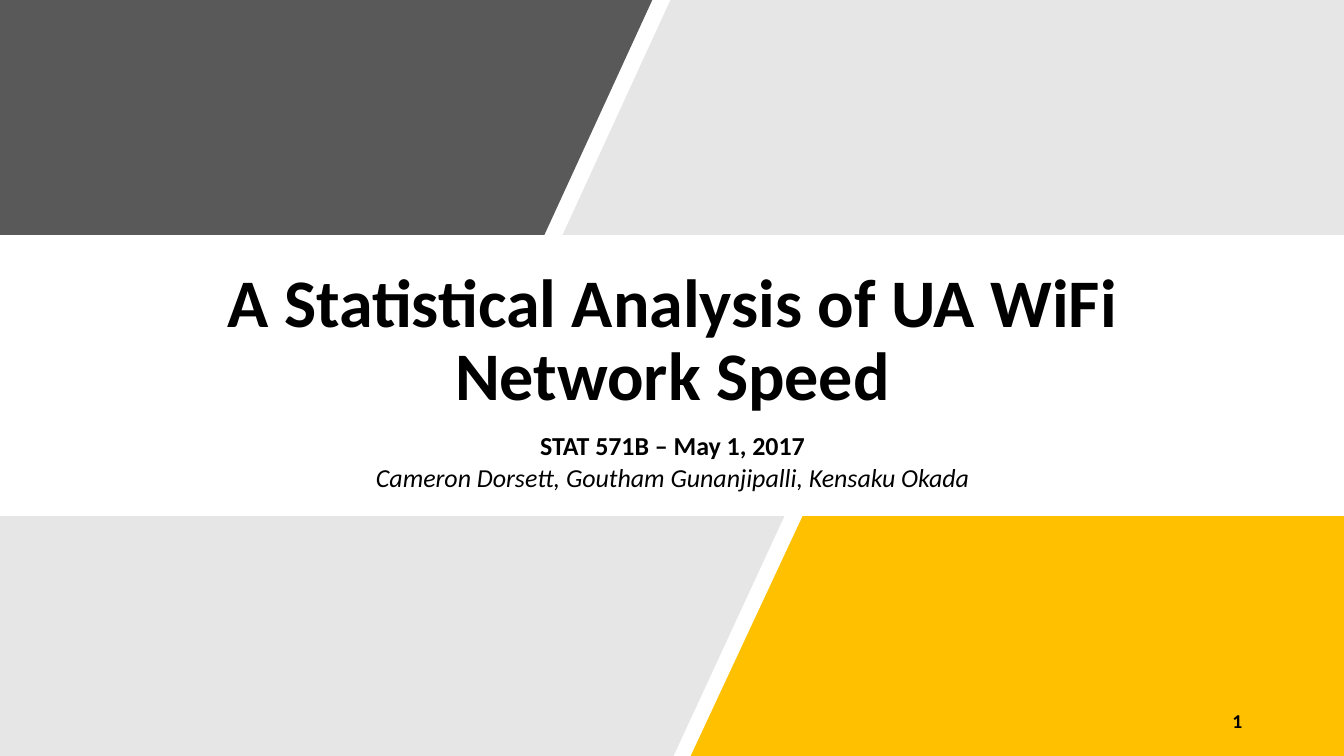
from dataclasses import dataclass

from pptx import Presentation
from pptx.dml.color import RGBColor
from pptx.enum.text import MSO_ANCHOR, PP_ALIGN
from pptx.slide import Slide
from pptx.util import Inches, Pt

BLACK = RGBColor(0x00, 0x00, 0x00)
WHITE = RGBColor(0xFF, 0xFF, 0xFF)
DARK_GRAY = RGBColor(0x59, 0x59, 0x59)
LIGHT_GRAY = RGBColor(0xE7, 0xE6, 0xE6)
GOLD = RGBColor(0xFF, 0xC0, 0x00)

CENTER, RIGHT = PP_ALIGN.CENTER, PP_ALIGN.RIGHT
TOP, MIDDLE, BOTTOM = MSO_ANCHOR.TOP, MSO_ANCHOR.MIDDLE, MSO_ANCHOR.BOTTOM

FONT = "Calibri"
SLIDE_WIDTH, SLIDE_HEIGHT = 13.33, 7.5
UPPER_BAND = (0, 2.33)
LOWER_BAND = (5.12, SLIDE_HEIGHT)


@dataclass
class Panel:
    """A four-sided panel given by its left and right x on each edge."""
    band: tuple[float, float]
    top_edge: tuple[float, float]
    bottom_edge: tuple[float, float]
    color: RGBColor


@dataclass
class Line:
    text: str
    bold: bool = True
    italic: bool = False


@dataclass
class TextBlock:
    box: tuple[float, float, float, float]
    lines: list[Line]
    size: float
    alignment: PP_ALIGN
    anchor: MSO_ANCHOR
    line_spacing: float = 1.0
    space_between: float = 0


PANELS = [
    Panel(UPPER_BAND, (0, 6.47), (0, 5.4), DARK_GRAY),
    Panel(LOWER_BAND, (7.83, 11.67), (6.73, 11.67), WHITE),
    Panel(LOWER_BAND, (7.96, SLIDE_WIDTH), (6.85, SLIDE_WIDTH), GOLD),
    Panel(UPPER_BAND, (6.65, SLIDE_WIDTH), (5.58, SLIDE_WIDTH), LIGHT_GRAY),
    Panel(LOWER_BAND, (0, 7.78), (0, 6.68), LIGHT_GRAY),
]

TEXT_BLOCKS = [
    TextBlock((1.67, 2.46, 10, 1.71),
              [Line("A Statistical Analysis of UA WiFi Network Speed")],
              48.6, CENTER, BOTTOM, line_spacing=0.9),
    TextBlock((1.67, 4.32, 10, 0.63),
              [Line("STAT 571B – May 1, 2017"),
               Line("Cameron Dorsett, Goutham Gunanjipalli, Kensaku Okada",
                    bold=False, italic=True)],
              18.5, CENTER, TOP, line_spacing=0.6, space_between=10),
    TextBlock((9.42, 6.95, 3, 0.4), [Line("1")], 14, RIGHT, MIDDLE),
]


def add_panel(slide: Slide, panel: Panel) -> None:
    top, bottom = panel.band
    top_left, top_right = panel.top_edge
    bottom_left, bottom_right = panel.bottom_edge
    builder = slide.shapes.build_freeform(
        Inches(top_left), Inches(top), scale=1.0)
    corners = [(top_right, top), (bottom_right, bottom), (bottom_left, bottom)]
    builder.add_line_segments(
        [(Inches(x), Inches(y)) for x, y in corners], close=True)
    shape = builder.convert_to_shape()
    shape.shadow.inherit = False
    shape.fill.solid()
    shape.fill.fore_color.rgb = panel.color
    shape.line.fill.background()


def add_text_block(slide: Slide, block: TextBlock) -> None:
    shape = slide.shapes.add_textbox(*(Inches(length) for length in block.box))
    text_frame = shape.text_frame
    text_frame.word_wrap = True
    text_frame.vertical_anchor = block.anchor
    text_frame.text = "\n".join(line.text for line in block.lines)
    for index, (paragraph, line) in enumerate(
            zip(text_frame.paragraphs, block.lines)):
        paragraph.alignment = block.alignment
        paragraph.line_spacing = block.line_spacing
        if index > 0:
            paragraph.space_before = Pt(block.space_between)
        for run in paragraph.runs:
            run.font.name = FONT
            run.font.size = Pt(block.size)
            run.font.bold = line.bold
            run.font.italic = line.italic
            run.font.color.rgb = BLACK


def main() -> None:
    presentation = Presentation()
    presentation.slide_width = Inches(SLIDE_WIDTH)
    presentation.slide_height = Inches(SLIDE_HEIGHT)
    slide = presentation.slides.add_slide(presentation.slide_layouts[6])

    # Slanted color panels above and below the title
    for panel in PANELS:
        add_panel(slide, panel)

    # Title, subtitle and slide number
    for block in TEXT_BLOCKS:
        add_text_block(slide, block)

    presentation.save("out.pptx")


if __name__ == "__main__":
    main()
